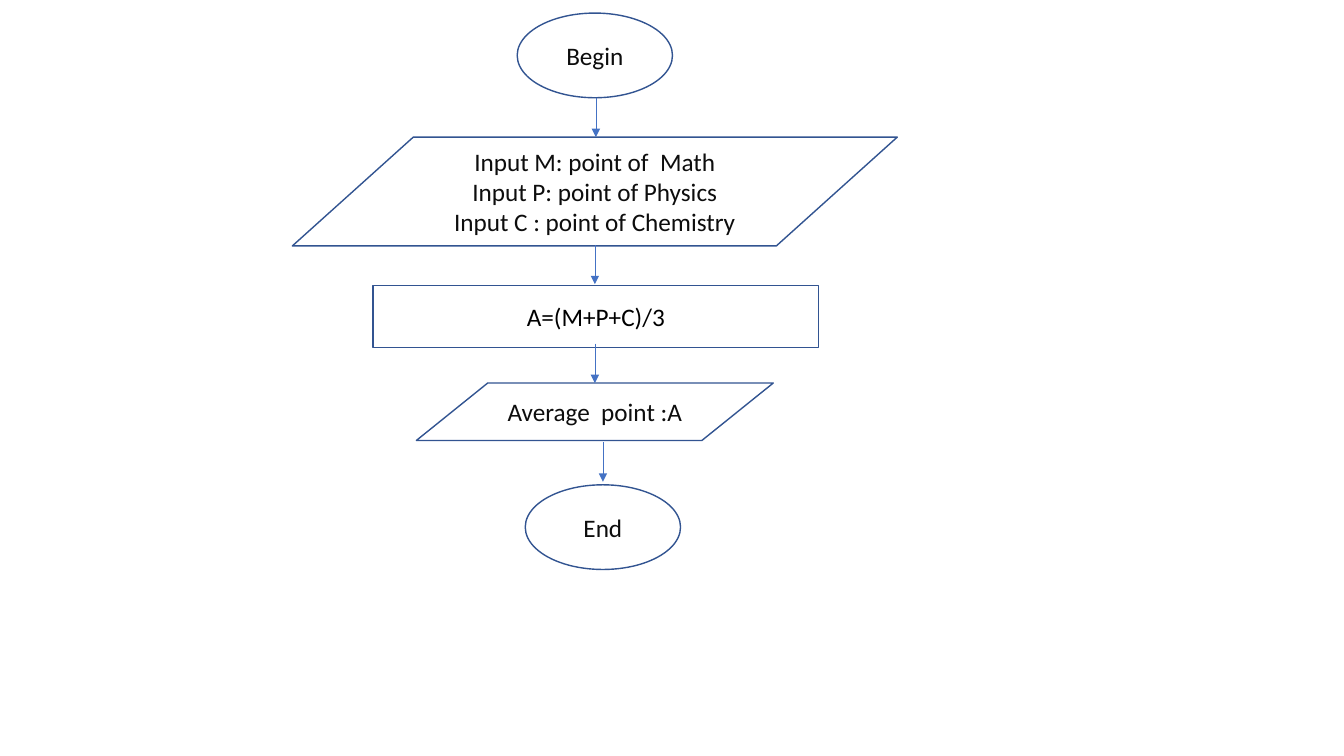
from lxml import etree
from pptx import Presentation
from pptx import util as u
from pptx.dml.color import RGBColor
from pptx.enum import shapes, text
from pptx.oxml.ns import qn

COLORS = {"outline": "325491", "arrow": "4472C4", "label": "0D0D0D", "formula": "000000"}
ARROW_LENGTH = 0.39


class Flowchart:
    font_name = "Calibri"
    font_size = u.Pt(18)

    def __init__(self, slide):
        self.slide = slide

    def color(self, name):
        return RGBColor.from_string(COLORS[name])

    def step(self, kind, left, top, width, height, lines, color="label"):
        shape = self.slide.shapes.add_shape(
            kind, u.Inches(left), u.Inches(top), u.Inches(width), u.Inches(height))
        shape.shadow.inherit = False
        shape.fill.background()
        shape.line.color.rgb = self.color("outline")
        shape.line.width = u.Pt(1)
        frame = shape.text_frame
        frame.word_wrap = True
        frame.vertical_anchor = text.MSO_ANCHOR.MIDDLE
        for index, line in enumerate(lines):
            paragraph = frame.add_paragraph() if index else frame.paragraphs[0]
            paragraph.text = line
            paragraph.alignment = text.PP_ALIGN.CENTER
            paragraph.font.name = self.font_name
            paragraph.font.size = self.font_size
            paragraph.font.color.rgb = self.color(color)

    def arrow(self, x, top):
        connector = self.slide.shapes.add_connector(
            shapes.MSO_CONNECTOR.STRAIGHT,
            u.Inches(x), u.Inches(top), u.Inches(x), u.Inches(top + ARROW_LENGTH))
        connector.line.color.rgb = self.color("arrow")
        connector.line.width = u.Pt(0.5)
        etree.SubElement(connector.line._get_or_add_ln(), qn("a:tailEnd"), type="triangle")
        etree.SubElement(connector._element.spPr, qn("a:effectLst"))


def main():
    presentation = Presentation()
    presentation.slide_width = u.Inches(13.33)
    presentation.slide_height = u.Inches(7.5)
    chart = Flowchart(presentation.slides.add_slide(presentation.slide_layouts[6]))

    terminal = shapes.MSO_SHAPE.OVAL
    data = shapes.MSO_SHAPE.FLOWCHART_DATA
    process = shapes.MSO_SHAPE.FLOWCHART_PROCESS

    chart.step(terminal, 5.13, 0.13, 1.54, 0.84, ["Begin"])
    chart.step(data, 2.9, 1.36, 6, 1.08, [
        "Input M: point of  Math",
        "Input P: point of Physics",
        "Input C : point of Chemistry",
    ])
    chart.step(process, 3.7, 2.83, 4.42, 0.62, ["A=(M+P+C)/3"], "formula")
    chart.step(data, 4.13, 3.8, 3.54, 0.57, ["Average  point :A"])
    chart.step(terminal, 5.21, 4.81, 1.54, 0.84, ["End"])

    for x, top in [(5.91, 0.97), (5.9, 2.43), (5.9, 3.41), (5.98, 4.39)]:
        chart.arrow(x, top)

    presentation.save("out.pptx")


if __name__ == "__main__":
    main()
